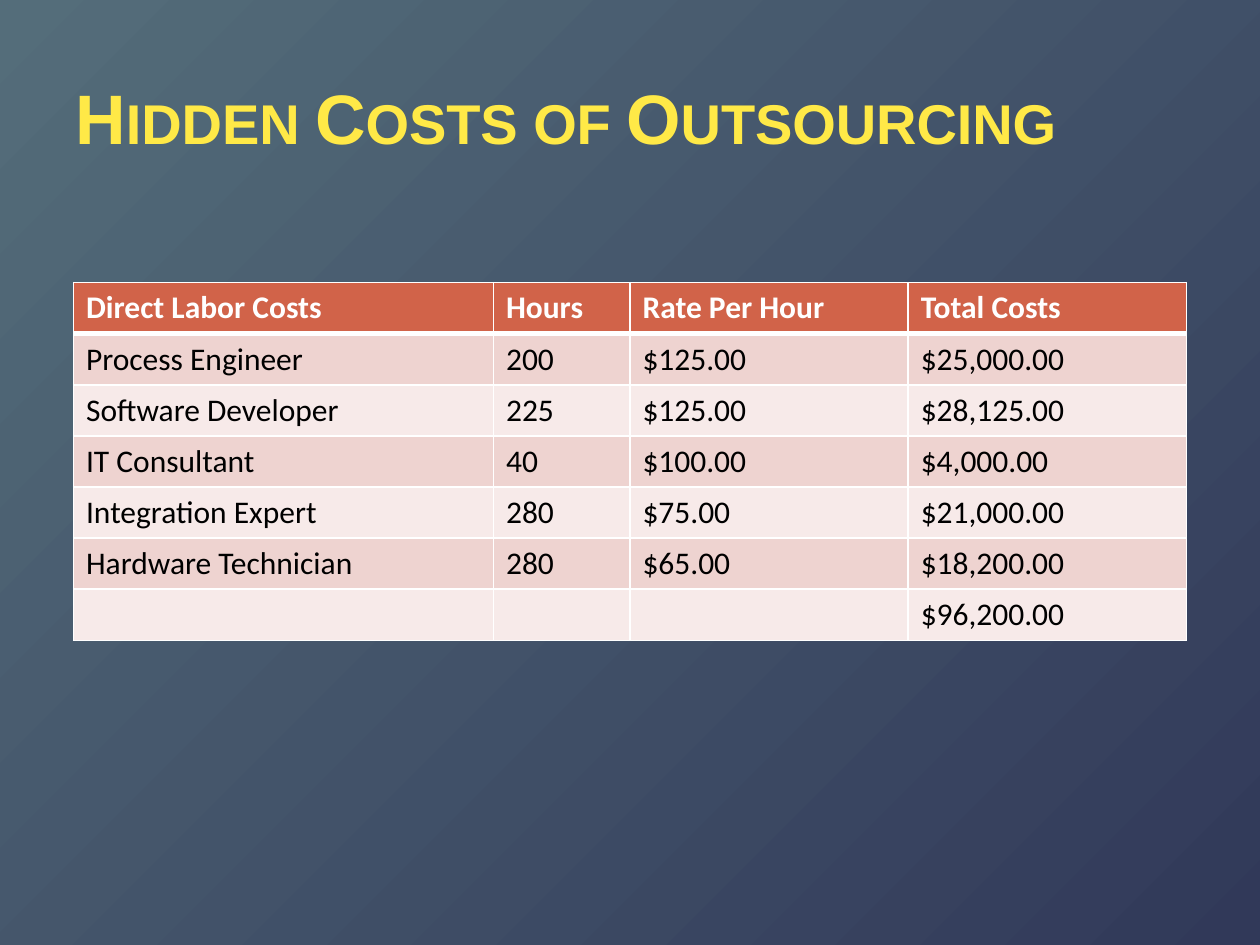
from lxml.etree import SubElement
from pptx import Presentation
from pptx.dml.color import RGBColor
from pptx.enum.text import MSO_ANCHOR
from pptx.oxml.ns import qn
from pptx.util import Pt

HEADERS = ["Direct Labor Costs", "Hours", "Rate Per Hour", "Total Costs"]
COSTS = [
    ["Process Engineer", "200", "$125.00", "$25,000.00"],
    ["Software Developer", "225", "$125.00", "$28,125.00"],
    ["IT Consultant", "40", "$100.00", "$4,000.00"],
    ["Integration Expert", "280", "$75.00", "$21,000.00"],
    ["Hardware Technician", "280", "$65.00", "$18,200.00"],
    ["", "", "", "$96,200.00"],
]
COLUMN_WIDTHS = [240, 78, 159, 159]
ROW_HEIGHT = 29.2
HEADER_FILL = "D16349"
BAND_FILLS = ["EED3D0", "F7EAE9"]


def color(value):
    return RGBColor.from_string(value)


def style_font(font, name, size, value, bold):
    font.name = name
    font.size = Pt(size)
    font.bold = bold
    font.color.rgb = color(value)


def set_background(slide, start, end):
    fill = slide.background.fill
    fill.gradient()
    fill.gradient_angle = 315
    for stop, value in zip(fill.gradient_stops, (start, end)):
        stop.color.rgb = color(value)


def add_title(slide, text, left, top, width, height):
    shape = slide.shapes.add_textbox(Pt(left), Pt(top), Pt(width), Pt(height))
    text_frame = shape.text_frame
    text_frame.word_wrap = True
    text_frame.vertical_anchor = MSO_ANCHOR.MIDDLE
    text_frame.text = text
    run = text_frame.paragraphs[0].runs[0]
    style_font(run.font, "Arial", 40, "FFE947", True)
    run._r.get_or_add_rPr().set("cap", "small")


def set_borders(cell, widths):
    properties = cell._tc.get_or_add_tcPr()
    for side, width in widths.items():
        line = SubElement(properties, qn(f"a:ln{side}"), w=str(Pt(width)))
        fill = SubElement(line, qn("a:solidFill"))
        SubElement(fill, qn("a:srgbClr"), val="FFFFFF")


def add_cost_table(slide, left, top):
    rows = [HEADERS] + COSTS
    table = slide.shapes.add_table(
        len(rows), len(HEADERS), Pt(left), Pt(top),
        Pt(sum(COLUMN_WIDTHS)), Pt(ROW_HEIGHT * len(rows)),
    ).table
    for column, width in zip(table.columns, COLUMN_WIDTHS):
        column.width = Pt(width)
    for row_index, values in enumerate(rows):
        table.rows[row_index].height = Pt(ROW_HEIGHT)
        is_header = row_index == 0
        fill = HEADER_FILL if is_header else BAND_FILLS[(row_index - 1) % 2]
        text_color = "FFFFFF" if is_header else "000000"
        top_width = 3 if row_index == 1 else 1
        bottom_width = 3 if is_header else 1
        for column_index, value in enumerate(values):
            cell = table.cell(row_index, column_index)
            set_borders(cell, {"L": 1, "R": 1, "T": top_width, "B": bottom_width})
            cell.fill.solid()
            cell.fill.fore_color.rgb = color(fill)
            cell.text_frame.text = value
            for run in cell.text_frame.paragraphs[0].runs:
                style_font(run.font, "Calibri", 18, text_color, is_header)


def main():
    presentation = Presentation()
    presentation.slide_width = Pt(720)
    presentation.slide_height = Pt(540)
    slide = presentation.slides.add_slide(presentation.slide_layouts[6])
    set_background(slide, "546D7A", "313959")
    add_title(slide, "Hidden Costs of Outsourcing", 36, 21.6, 648, 90)
    add_cost_table(slide, 42, 161.5)
    presentation.save("out.pptx")


if __name__ == "__main__":
    main()
